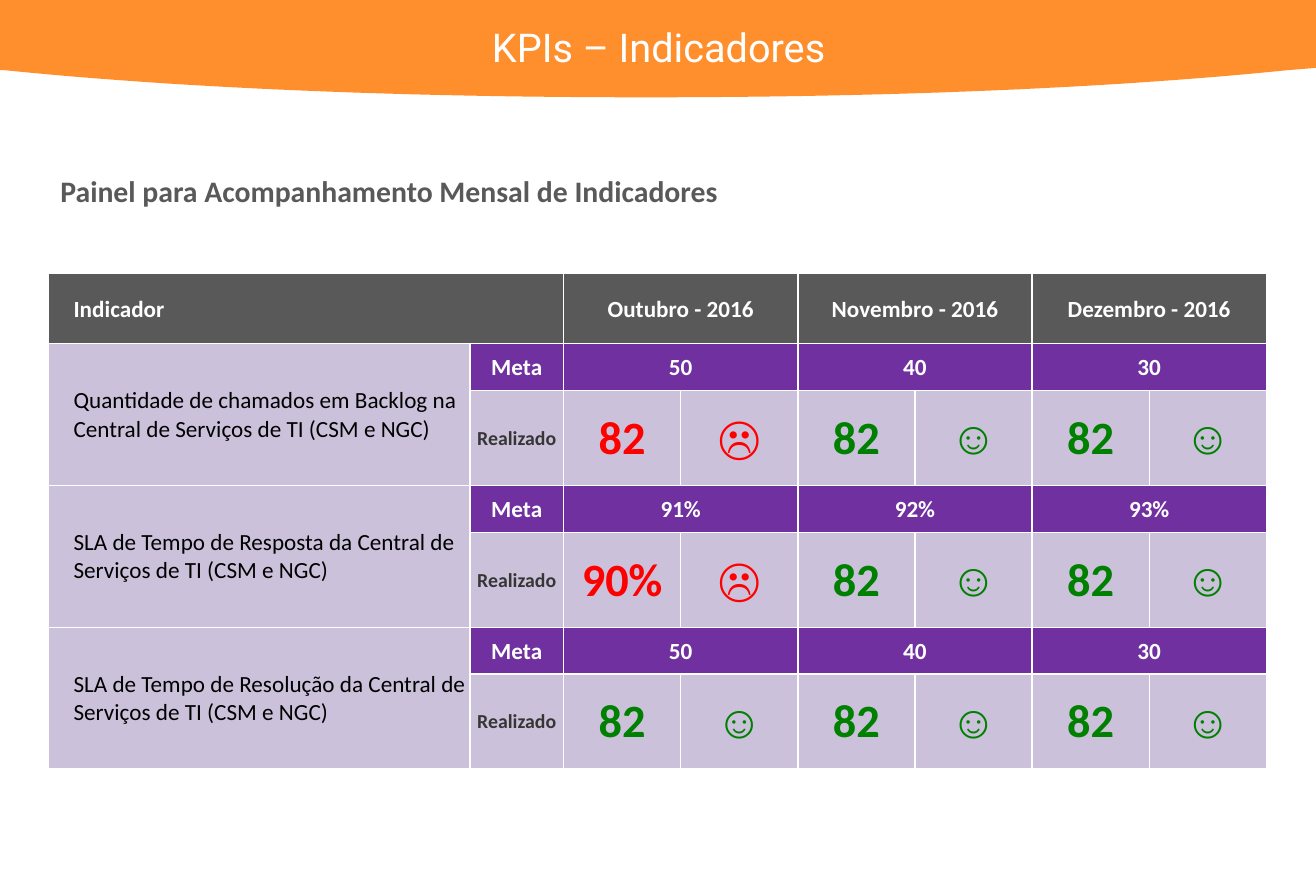
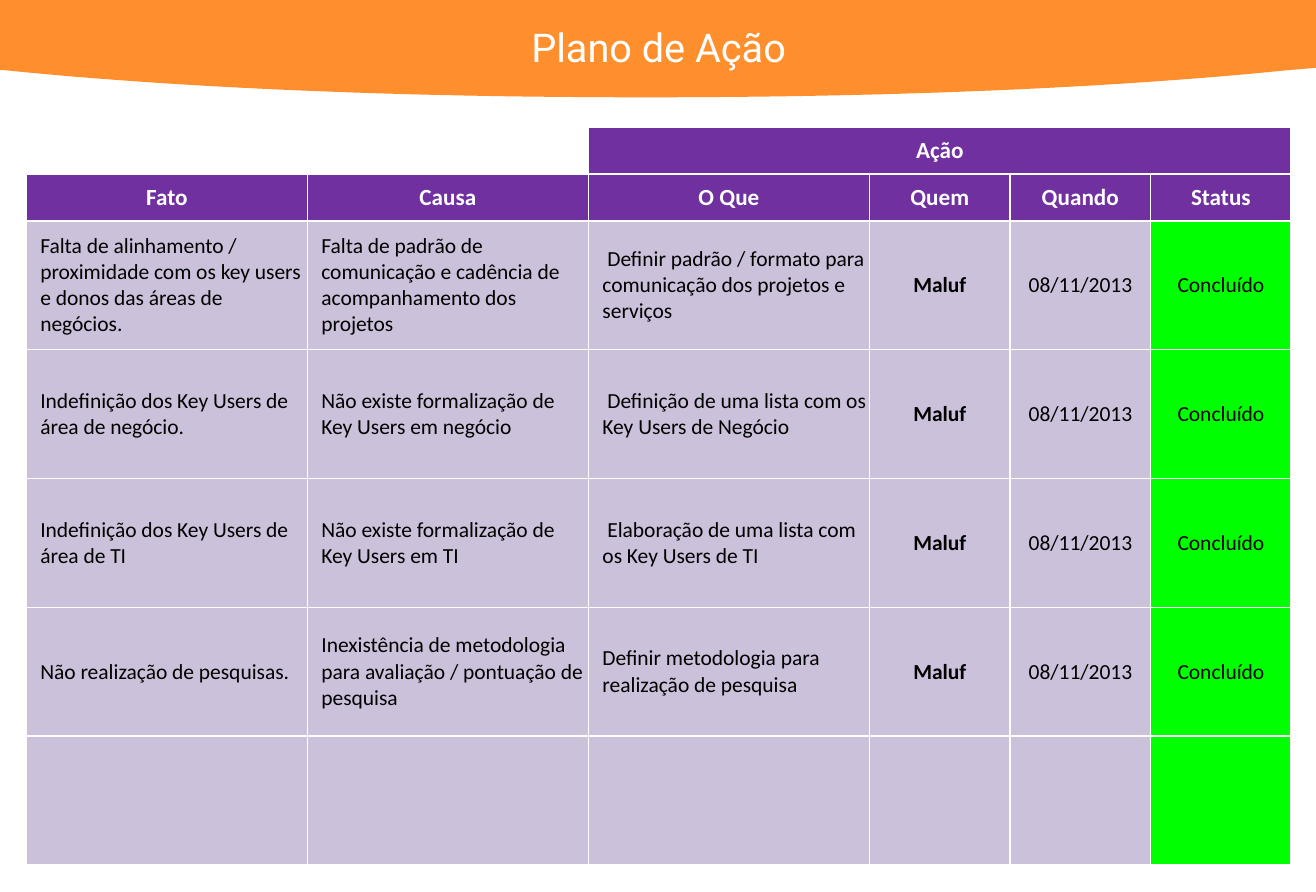
from dataclasses import dataclass

from lxml import etree
from pptx import Presentation
from pptx.dml.color import RGBColor
from pptx.enum.text import MSO_ANCHOR, MSO_AUTO_SIZE, PP_ALIGN
from pptx.oxml.ns import qn
from pptx.util import Cm, Pt

LEFT, CENTER = PP_ALIGN.LEFT, PP_ALIGN.CENTER
MIDDLE = MSO_ANCHOR.MIDDLE
FIT_SHAPE = MSO_AUTO_SIZE.SHAPE_TO_FIT_TEXT

ORANGE = RGBColor(0xFF, 0x8E, 0x2D)
WHITE = RGBColor(0xFF, 0xFF, 0xFF)
BLACK = RGBColor(0x00, 0x00, 0x00)
GRAY = RGBColor(0x59, 0x59, 0x59)
DARK_GRAY = RGBColor(0x36, 0x36, 0x36)
PURPLE = RGBColor(0x70, 0x30, 0xA0)
LILAC = RGBColor(0xCC, 0xC1, 0xDA)
RED = RGBColor(0xFF, 0x00, 0x00)
GREEN = RGBColor(0x00, 0x80, 0x00)
LIME = RGBColor(0x00, 0xFF, 0x00)

SLIDE_WIDTH, SLIDE_HEIGHT = 28.09, 19.05
BLANK_LAYOUT = 6
CURVE_STEPS = 24
BORDER_WIDTH = Pt(1)


def font_format(size, color, bold=False, name="Calibri"):
    return {"size": Pt(size), "bold": bold, "name": name, "color": color}


@dataclass
class CellStyle:
    fill: RGBColor = None
    font: dict = None
    align: int = CENTER
    indent: float = 0


@dataclass
class Cell:
    text: str
    style: CellStyle
    across: int = 1
    down: int = 1


TITLE = font_format(24, WHITE, name="Roboto")
SUBTITLE = font_format(18, GRAY, bold=True)
HEADING = font_format(14, WHITE, bold=True)
BODY = font_format(13, BLACK)

BARE = CellStyle()
PURPLE_HEAD = CellStyle(PURPLE, HEADING)
MONTH = CellStyle(GRAY, HEADING)
INDICATOR_HEAD = CellStyle(GRAY, HEADING, LEFT, 0.53)
INDICATOR = CellStyle(LILAC, font_format(14, BLACK), LEFT, 0.53)
ACTUAL = CellStyle(LILAC, font_format(12, DARK_GRAY, bold=True))
DETAIL = CellStyle(LILAC, BODY, LEFT, 0.3)
PERSON = CellStyle(LILAC, font_format(13, BLACK, bold=True))
DATE = CellStyle(LILAC, BODY)
STATUS = CellStyle(LIME, BODY)


def bezier(start, first, second, end):
    """Return points along a cubic curve, without its start."""
    points = []
    for step in range(1, CURVE_STEPS + 1):
        t = step / CURVE_STEPS
        weights = ((1 - t) ** 3, 3 * t * (1 - t) ** 2, 3 * t * t * (1 - t), t ** 3)
        points.append(tuple(
            sum(weight * value for weight, value in zip(weights, axis))
            for axis in zip(start, first, second, end)))
    return points


def write(para, text, font, align):
    para.alignment = align
    if not text:
        return
    span = para.add_run()
    span.text = text
    for name, value in font.items():
        if name == "color":
            span.font.color.rgb = value
        else:
            setattr(span.font, name, value)


def add_borders(cell):
    properties = cell._tc.get_or_add_tcPr()
    for position, side in enumerate(("lnL", "lnR", "lnT", "lnB")):
        line = etree.Element(qn(f"a:{side}"), w=str(BORDER_WIDTH))
        fill = etree.SubElement(line, qn("a:solidFill"))
        etree.SubElement(fill, qn("a:srgbClr"), val=str(WHITE))
        properties.insert(position, line)


class Deck:
    def __init__(self):
        self.deck = Presentation()
        self.deck.slide_width = Cm(SLIDE_WIDTH)
        self.deck.slide_height = Cm(SLIDE_HEIGHT)
        self.page = None

    def add_page(self, title):
        layout = self.deck.slide_layouts[BLANK_LAYOUT]
        self.page = self.deck.slides.add_slide(layout)
        self.add_band()
        self.add_text(6.48, 0.36, 15.16, 1.27, title, TITLE, CENTER)

    def add_band(self):
        right, middle, left = (27.48, 1.5), (13.79, 2.08), (0.1, 1.5)
        outline = [(SLIDE_WIDTH, 0), (SLIDE_WIDTH, 1.45), right]
        outline += bezier(right, (23.77, 1.88), (19, 2.08), middle)
        outline += bezier(middle, (8.59, 2.08), (3.81, 1.88), left)
        outline.append((0, 1.5))
        builder = self.page.shapes.build_freeform(0, 0)
        builder.add_line_segments([(Cm(x), Cm(y)) for x, y in outline])
        band = builder.convert_to_shape()
        band.shadow.inherit = False
        band.fill.solid()
        band.fill.fore_color.rgb = ORANGE
        band.line.fill.background()

    def add_text(self, left, top, width, height, text, font, align=LEFT, wrap=True):
        box = self.page.shapes.add_textbox(Cm(left), Cm(top), Cm(width), Cm(height))
        box.text_frame.word_wrap = wrap
        box.text_frame.auto_size = FIT_SHAPE
        write(box.text_frame.paragraphs[0], text, font, align)

    def add_table(self, left, top, widths, heights, rows, margin=0):
        """Draw rows of Cell objects; None marks a place covered by a merged cell."""
        frame = self.page.shapes.add_table(
            len(heights), len(widths), Cm(left), Cm(top),
            Cm(sum(widths)), Cm(sum(heights)))
        table = frame.table
        table.first_row = table.horz_banding = False
        for column, width in zip(table.columns, widths):
            column.width = Cm(width)
        for row, height in zip(table.rows, heights):
            row.height = Cm(height)
        for row_index, row in enumerate(rows):
            for column_index, content in enumerate(row):
                cell = table.cell(row_index, column_index)
                add_borders(cell)
                if content is None:
                    continue
                if content.across > 1 or content.down > 1:
                    cell.merge(table.cell(row_index + content.down - 1,
                                          column_index + content.across - 1))
                self.fill_cell(cell, content, margin)

    def fill_cell(self, cell, content, margin):
        style = content.style
        cell.vertical_anchor = MIDDLE
        cell.margin_left = Cm(style.indent or margin)
        cell.margin_right = cell.margin_top = Cm(margin)
        cell.margin_bottom = 0
        if style.fill is None:
            cell.fill.background()
        else:
            cell.fill.solid()
            cell.fill.fore_color.rgb = style.fill
        write(cell.text_frame.paragraphs[0], content.text, style.font, style.align)


def across_two(texts, style):
    return [cell for text in texts for cell in (Cell(text, style, across=2), None)]


def result_cells(value, on_target):
    color, face = (GREEN, "☺") if on_target else (RED, "☹")
    return [Cell(text, CellStyle(LILAC, font_format(28, color, True, name)))
            for text, name in ((value, "Calibri"), (face, "Arial"))]


def add_indicators(deck):
    months = ("Outubro - 2016", "Novembro - 2016", "Dezembro - 2016")
    indicators = (
        ("Quantidade de chamados em Backlog na Central de Serviços de TI (CSM e NGC)",
         ("50", "40", "30"), (("82", False), ("82", True), ("82", True))),
        ("SLA de Tempo de Resposta da Central de Serviços de TI (CSM e NGC)",
         ("91%", "92%", "93%"), (("90%", False), ("82", True), ("82", True))),
        ("SLA de Tempo de Resolução da Central de Serviços de TI (CSM e NGC)",
         ("50", "40", "30"), (("82", True), ("82", True), ("82", True))),
    )
    rows = [[Cell("Indicador", INDICATOR_HEAD, across=2), None,
             *across_two(months, MONTH)]]
    for name, targets, results in indicators:
        rows.append([Cell(name, INDICATOR, down=2), Cell("Meta", PURPLE_HEAD),
                     *across_two(targets, PURPLE_HEAD)])
        actual = [None, Cell("Realizado", ACTUAL)]
        for value, on_target in results:
            actual += result_cells(value, on_target)
        rows.append(actual)

    deck.add_page("KPIs – Indicadores")
    deck.add_table(1.04, 5.84, [8.99, 2] + [2.5] * 6,
                   [1.5] + [1, 2.03] * len(indicators), rows, margin=0.02)
    deck.add_text(1.04, 3.56, 14.58, 1.02,
                  "Painel para Acompanhamento Mensal de Indicadores",
                  SUBTITLE, wrap=False)


def add_action_plan(deck):
    headings = ("Fato", "Causa", "O Que", "Quem", "Quando", "Status")
    styles = (DETAIL, DETAIL, DETAIL, PERSON, DATE, STATUS)
    outcome = ("Maluf", "08/11/2013", "Concluído")
    actions = (
        ("Falta de alinhamento / proximidade com os key users e donos das áreas de negócios.",
         "Falta de padrão de comunicação e cadência de acompanhamento dos projetos",
         " Definir padrão / formato para comunicação dos projetos e serviços", *outcome),
        ("Indefinição dos Key Users de área de negócio.",
         "Não existe formalização de Key Users em negócio",
         " Definição de uma lista com os Key Users de Negócio", *outcome),
        ("Indefinição dos Key Users de área de TI",
         "Não existe formalização de Key Users em TI",
         " Elaboração de uma lista com os Key Users de TI", *outcome),
        ("Não realização de pesquisas.",
         "Inexistência de metodologia para avaliação / pontuação de pesquisa",
         "Definir metodologia para realização de pesquisa", *outcome),
        ("",) * len(headings),
    )
    rows = [[Cell("", BARE), Cell("", BARE),
             Cell("Ação", PURPLE_HEAD, across=4), None, None, None],
            [Cell(text, PURPLE_HEAD) for text in headings]]
    for action in actions:
        rows.append([Cell(text, style) for text, style in zip(action, styles)])

    deck.add_page("Plano de Ação")
    deck.add_table(0.56, 2.72, [6] * 3 + [3] * 3,
                   [1] * 2 + [2.75] * len(actions), rows)


def main():
    deck = Deck()
    add_indicators(deck)
    add_action_plan(deck)
    deck.deck.save("out.pptx")


if __name__ == "__main__":
    main()
